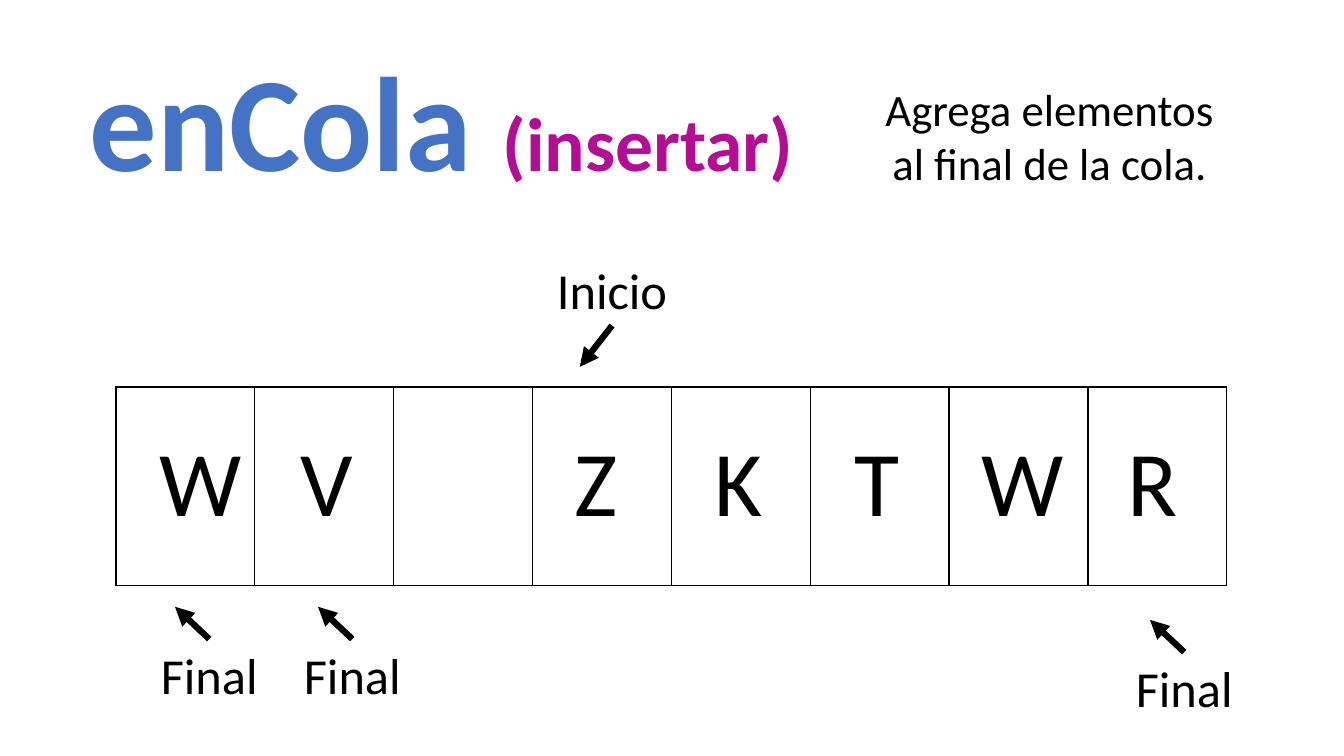
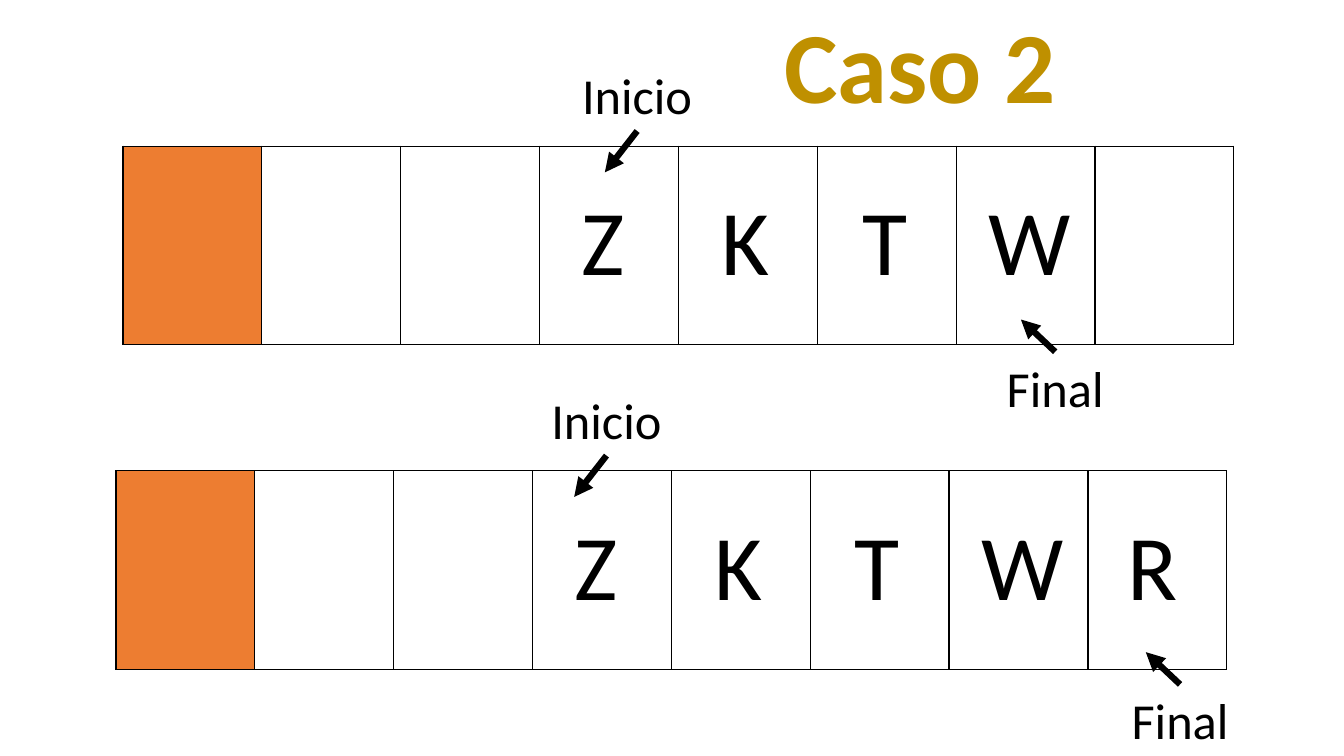
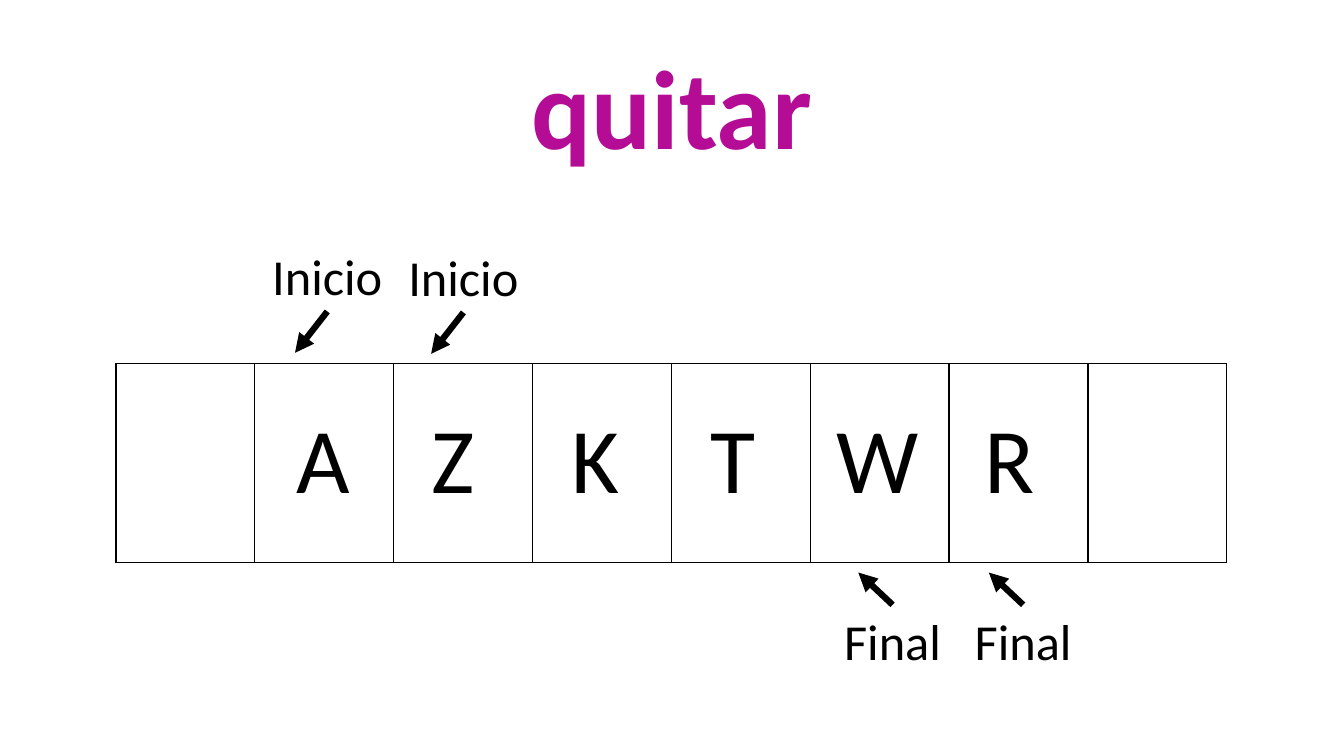
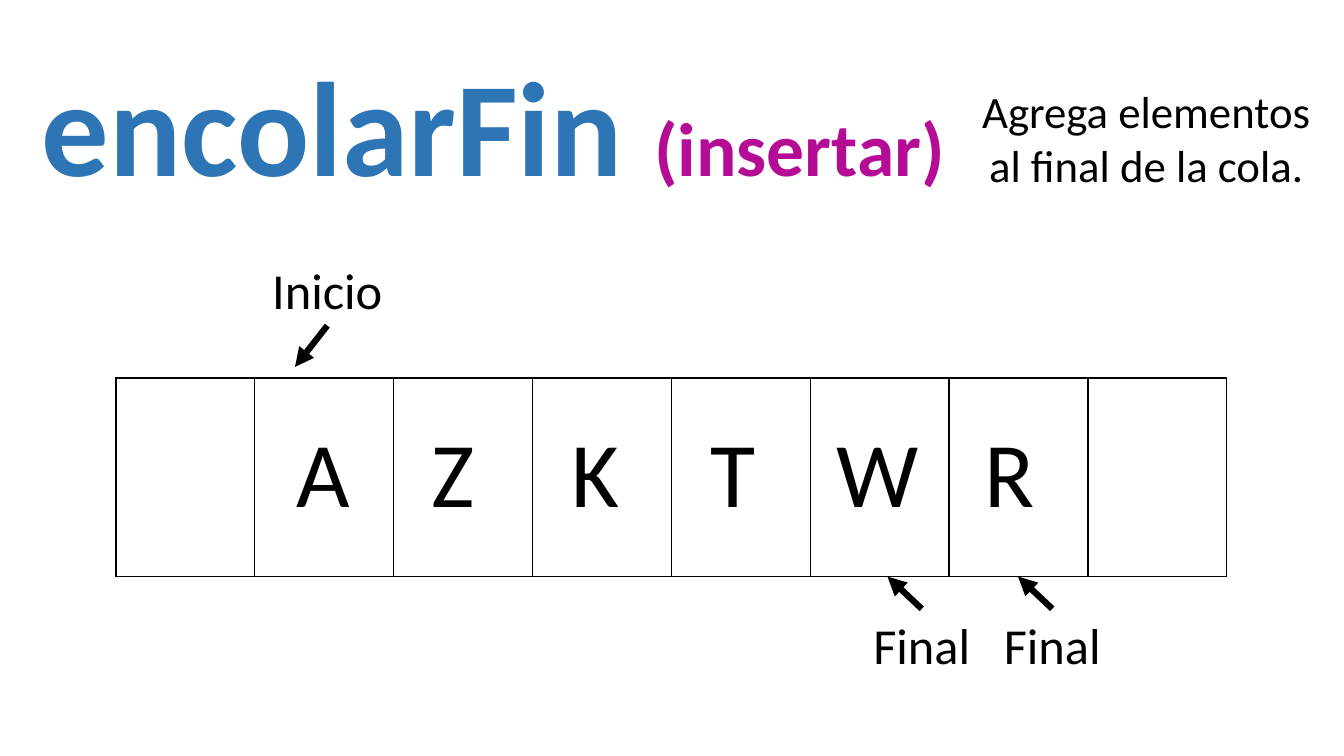
from lxml.etree import SubElement
from pptx import Presentation
from pptx.dml.color import RGBColor
from pptx.enum.shapes import MSO_CONNECTOR as Connector
from pptx.enum.text import MSO_AUTO_SIZE as AutoSize, PP_ALIGN as Align
from pptx.oxml.ns import qn
from pptx.util import Inches, Pt

BLACK = RGBColor(0x00, 0x00, 0x00)
BLUE = RGBColor(0x44, 0x72, 0xC4)
DARK_BLUE = RGBColor(0x2E, 0x75, 0xB6)
MAGENTA = RGBColor(0xB4, 0x0C, 0x94)
GOLD = RGBColor(0xBF, 0x90, 0x00)
ORANGE = RGBColor(0xED, 0x7D, 0x31)

# Shared measures, in inches
FONT = "Calibri"
COLUMNS = 8
QUEUE_LEFT, QUEUE_WIDTH, QUEUE_HEIGHT = 1.15, 11.02, 1.97
CELL = QUEUE_WIDTH / COLUMNS
LETTER_SIZE, LETTER_DROP = (0.86, 1.21), 0.32
LABEL_SIZE = (1.3, 0.71)
# Arrow: share of label height where it starts, then its run across and down
ARROWS = {"Inicio": (1, -0.32, 0.41), "Final": (0, -0.34, -0.32)}

# Text formats
LETTER = {"size": Pt(66), "color": BLACK}
LABEL = {"size": Pt(36), "color": BLACK}
NOTE = {"size": Pt(32), "color": BLACK}
METHOD = {"size": Pt(96), "color": BLUE, "bold": True}
LONG_METHOD = METHOD | {"color": DARK_BLUE}
ACTION = {"size": Pt(54), "color": MAGENTA, "bold": True}
REMOVE = ACTION | {"size": Pt(80)}
CASE = {"size": Pt(72), "color": GOLD, "bold": True}

INSERT = ("(insertar)", ACTION)
DESCRIPTION = [("Agrega elementos al final de la cola.", NOTE)]

# Letters: (letter, position in columns from the left of the queue)
ZKTW = [("Z", 3.23), ("K", 4.24), ("T", 5.25), ("W", 6.16)]
ZKTWR = ZKTW + [("R", 7.21)]
AZKTWR = [("A", 1.23), ("Z", 2.2), ("K", 3.21), ("T", 4.21), ("W", 5.12), ("R", 6.18)]

# Texts: (runs, box). Pointers: (word, columns from queue left, inches from queue top)
SLIDES = [
    {"texts": [([("enCola ", METHOD), INSERT], (0.54, 0.32, 7.68, 1.72)),
               (DESCRIPTION, (8.64, 0.76, 3.54, 1.18))],
     "queues": [{"top": 3.84, "letters": [("W", 0.24), ("V", 1.26)] + ZKTWR,
                 "pointers": [("Inicio", 3.1, -1.32), ("Final", 7.22, 2.63),
                              ("Final", 0.2, 2.5), ("Final", 1.23, 2.5)]}]},
    {"texts": [([("Caso 2", CASE)], (5.28, -0.02, 7.69, 1.31))],
     "queues": [{"left": 1.22, "top": 1.45, "letters": ZKTW, "blocked": [0],
                 "pointers": [("Inicio", 3.23, -0.86), ("Final", 6.24, 2.04)]},
                {"top": 4.67, "letters": ZKTWR, "blocked": [0],
                 "pointers": [("Inicio", 3.06, -0.86), ("Final", 7.19, 2.12)]}]},
    {"texts": [([("quitar", REMOVE)], (1.95, 0.32, 9.43, 1.45))],
     "queues": [{"top": 3.61, "letters": AZKTWR,
                 "pointers": [("Inicio", 2.03, -1.22), ("Inicio", 1.05, -1.23),
                              ("Final", 5.12, 2.39), ("Final", 6.06, 2.39)]}]},
    {"texts": [([("encolarFin ", LONG_METHOD), INSERT], (0.18, 0.37, 9.43, 1.72)),
               (DESCRIPTION, (9.6, 0.78, 3.54, 1.18))],
     "queues": [{"top": 3.75, "letters": AZKTWR,
                 "pointers": [("Inicio", 1.05, -1.23), ("Final", 5.33, 2.29),
                              ("Final", 6.27, 2.29)]}]},
]


def add_text(slide, runs, box, align=Align.CENTER):
    shape = slide.shapes.add_textbox(*map(Inches, box))
    frame = shape.text_frame
    frame.word_wrap = True
    frame.auto_size = AutoSize.SHAPE_TO_FIT_TEXT
    paragraph = frame.paragraphs[0]
    paragraph.alignment = align
    for text, style in runs:
        run = paragraph.add_run()
        run.text = text
        run.font.name = FONT
        for name, value in style.items():
            if name == "color":
                run.font.color.rgb = value
            else:
                setattr(run.font, name, value)


def add_arrow(slide, x, y, across, down):
    ends = map(Inches, (x, y, x + across, y + down))
    arrow = slide.shapes.add_connector(Connector.STRAIGHT, *ends)
    arrow.line.color.rgb = BLACK
    arrow.line.width = Pt(4.5)
    SubElement(arrow.line._get_or_add_ln(), qn("a:tailEnd"), type="triangle")
    SubElement(arrow._element.spPr, qn("a:effectLst"))


def add_borders(cell):
    properties = cell._tc.get_or_add_tcPr()
    for side in ("lnL", "lnR", "lnT", "lnB"):
        line = SubElement(properties, qn(f"a:{side}"), w=str(Pt(1)))
        fill = SubElement(line, qn("a:solidFill"))
        SubElement(fill, qn("a:srgbClr"), val=str(BLACK))


def add_queue(slide, top, letters, pointers, left=QUEUE_LEFT, blocked=()):
    # Cells
    box = map(Inches, (left, top, QUEUE_WIDTH, QUEUE_HEIGHT))
    table = slide.shapes.add_table(1, COLUMNS, *box).table
    table.first_row = table.horz_banding = False
    for index in range(COLUMNS):
        cell = table.cell(0, index)
        add_borders(cell)
        if index in blocked:
            cell.fill.solid()
            cell.fill.fore_color.rgb = ORANGE
        else:
            cell.fill.background()

    # Elements
    for letter, column in letters:
        place = (left + column * CELL, top + LETTER_DROP)
        add_text(slide, [(letter, LETTER)], place + LETTER_SIZE, Align.LEFT)

    # Labels with arrows
    width, height = LABEL_SIZE
    for word, column, offset in pointers:
        x, y = left + column * CELL, top + offset
        start, across, down = ARROWS[word]
        add_text(slide, [(word, LABEL)], (x, y) + LABEL_SIZE)
        add_arrow(slide, x + width / 2, y + start * height, across, down)


def main():
    presentation = Presentation()
    presentation.slide_width = Inches(13.33)
    presentation.slide_height = Inches(7.5)
    for content in SLIDES:
        slide = presentation.slides.add_slide(presentation.slide_layouts[6])
        for queue in content["queues"]:
            add_queue(slide, **queue)
        for runs, box in content["texts"]:
            add_text(slide, runs, box)
    presentation.save("out.pptx")


if __name__ == "__main__":
    main()
